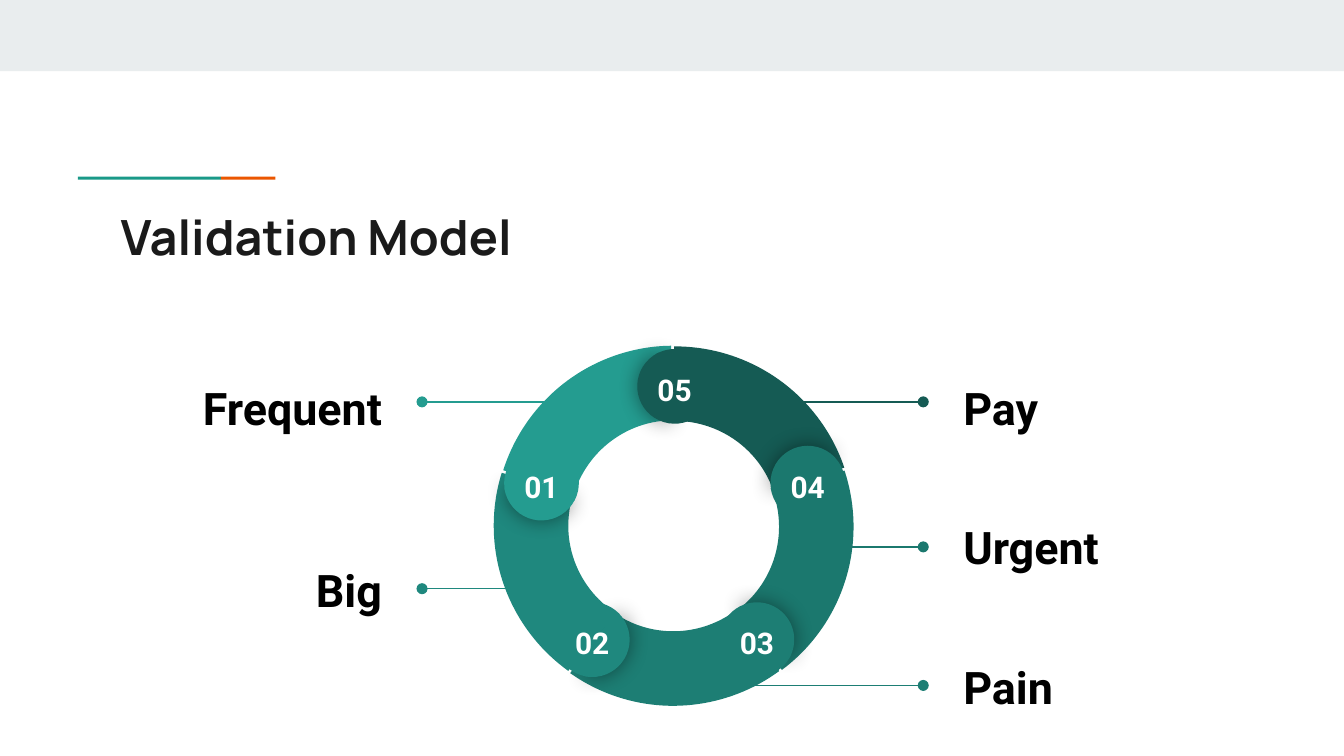
from dataclasses import dataclass
from math import cos, radians, sin
from lxml.etree import SubElement
from pptx import Presentation
from pptx.dml.color import RGBColor
from pptx.enum.shapes import MSO_CONNECTOR, MSO_SHAPE
from pptx.enum.text import MSO_ANCHOR, PP_ALIGN
from pptx.oxml.ns import qn
from pptx.util import Pt


@dataclass(frozen=True)
class Theme:
    band: str = "E9EDEE"
    teal: str = "1A9988"
    orange: str = "EB5600"
    ink: str = "1A1A1A"
    black: str = "000000"
    white: str = "FFFFFF"
    ring: tuple = ("155B54", "1B786E", "1D7E74", "1F887E", "249C90")
    head: str = "Manrope"
    body: str = "Roboto"
    title: float = 26
    label: float = 24
    number: float = 16


class Deck:
    def __init__(self, theme, width, height):
        self.theme = theme
        self.file = Presentation()
        self.file.slide_width, self.file.slide_height = Pt(width), Pt(height)
        self.slide = self.file.slides.add_slide(self.file.slide_layouts[6])

    def apply(self, target, values):
        for name, value in values.items():
            setattr(target, name, value)

    def shape(self, kind, box, color, turn=0, adjust=()):
        item = self.slide.shapes.add_shape(kind, *map(Pt, box))
        item.shadow.inherit = False
        item.fill.solid()
        item.fill.fore_color.rgb = RGBColor.from_string(color)
        item.line.fill.background()
        item.rotation = turn % 360
        for index, value in enumerate(adjust):
            item.adjustments[index] = value
        return item

    def glow(self, item):
        effects = item._element.spPr.find(qn("a:effectLst"))
        shadow = SubElement(effects, qn("a:outerShdw"), blurRad=str(Pt(11.2)),
                            dist="0", dir="0", algn="ctr", rotWithShape="0")
        color = SubElement(shadow, qn("a:srgbClr"), val=self.theme.black)
        SubElement(color, qn("a:alpha"), val="43000")

    def line(self, start, end, y, color):
        item = self.slide.shapes.add_connector(
            MSO_CONNECTOR.STRAIGHT, Pt(start), Pt(y), Pt(end), Pt(y))
        item.line.color.rgb = RGBColor.from_string(color)
        item.line.width = Pt(0.75)
        SubElement(item.line._get_or_add_ln(), qn("a:tailEnd"), type="oval")
        SubElement(item._element.spPr, qn("a:effectLst"))

    def text(self, words, box, size, color, font, align=PP_ALIGN.LEFT,
             anchor=MSO_ANCHOR.TOP, after=0):
        frame = self.slide.shapes.add_textbox(*map(Pt, box)).text_frame
        edge = Pt(7.2)
        self.apply(frame, {
            "word_wrap": True, "vertical_anchor": anchor,
            "margin_left": edge, "margin_right": edge,
            "margin_top": edge, "margin_bottom": edge})
        para = frame.paragraphs[0]
        self.apply(para, {"alignment": align, "space_after": Pt(after)})
        run = para.add_run()
        run.text = words
        self.apply(run.font, {"name": font, "size": Pt(size), "bold": True})
        run.font.color.rgb = RGBColor.from_string(color)


def main():
    theme = Theme()
    deck = Deck(theme, 720, 405)
    rect = MSO_SHAPE.RECTANGLE
    deck.shape(rect, (0, 0, 720, 38.2), theme.band)
    deck.shape(rect, (41.8, 94.7, 76.6, 1.6), theme.teal)
    deck.shape(rect, (118.4, 94.7, 29.2, 1.6), theme.orange)

    labels = (
        ("Pay", 405.4, 494.6, 215.3, 186.5),
        ("Urgent", 432.7, 494.6, 293, 260.6),
        ("Pain", 366.5, 494.6, 367.2, 335.5),
        ("Big", 290.9, 226.1, 315.4, 283.7),
        ("Frequent", 311.8, 226.1, 215.3, 186.5))
    for color, (words, start, end, y, top) in zip(theme.ring, labels):
        deck.line(start, end, y, color)
        right = end > start
        deck.text(words, (509 if right else 63.4, top, 148.3, 64.1),
                  theme.label, theme.black, theme.body,
                  PP_ALIGN.LEFT if right else PP_ALIGN.RIGHT,
                  MSO_ANCHOR.MIDDLE, 16)

    step = 72
    for index, color in enumerate(theme.ring):
        deck.shape(MSO_SHAPE.BLOCK_ARC, (265, 185.2, 192, 193), color,
                   60 + step * index, (126.03, 168.68, 0.208))

    radius, cap = 75, 40
    for index, color in enumerate(theme.ring):
        angle = radians(step * index)
        x, y = 361.4 + radius * sin(angle), 282 - radius * cos(angle)
        box = (x - cap / 2, y - cap / 2, cap, cap)
        turn = 355 + step * index
        deck.glow(deck.shape(MSO_SHAPE.PIE, box, color, turn, (61.9, 149.96)))
        deck.shape(MSO_SHAPE.PIE, box, color, turn + 179, (40.28, 171.84))
        deck.text(f"{5 - index:02}", (x - 17.6, y - 15.2, 35.2, 18.7),
                  theme.number, theme.white, theme.body, PP_ALIGN.CENTER)

    deck.text("Validation Model", (57.6, 103.7, 605.5, 42.5),
              theme.title, theme.ink, theme.head)
    deck.file.save("out.pptx")


if __name__ == "__main__":
    main()
